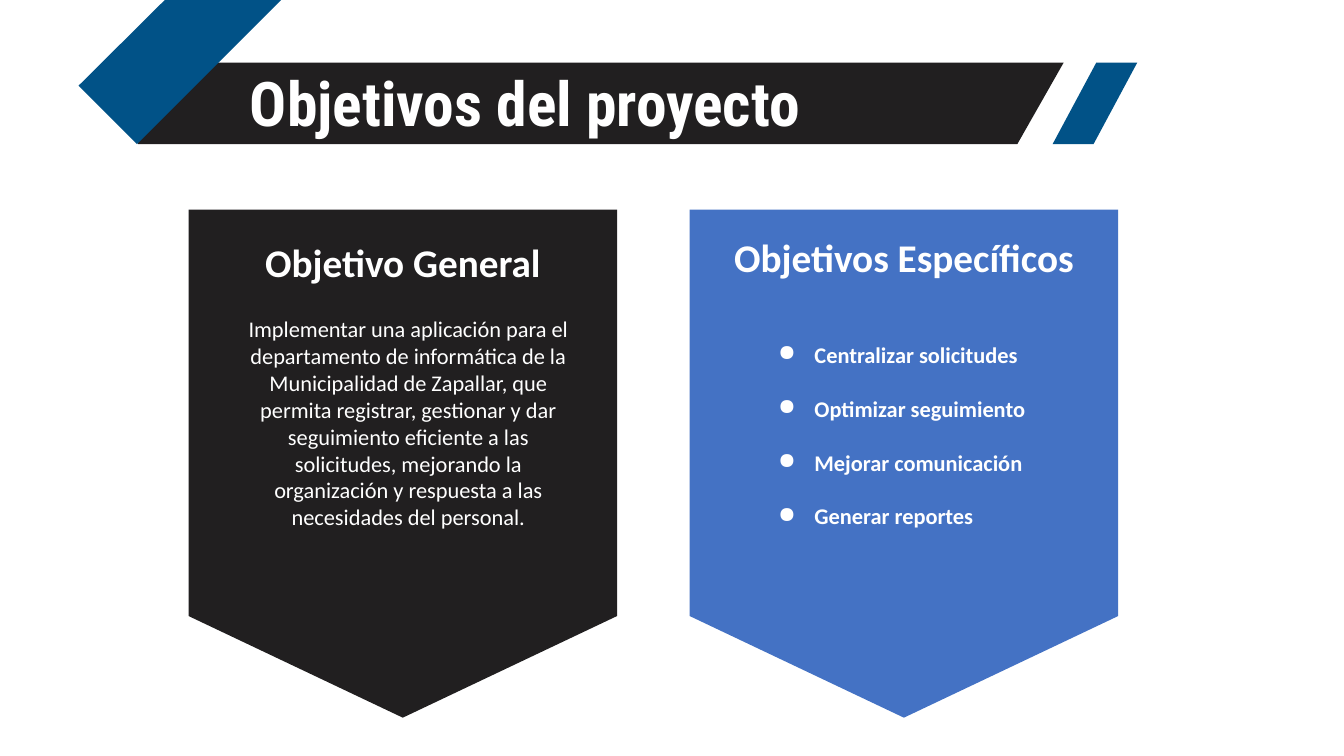
from dataclasses import dataclass

from lxml.etree import SubElement
from pptx import Presentation
from pptx.dml.color import RGBColor
from pptx.enum.shapes import MSO_SHAPE as Preset
from pptx.enum.text import MSO_AUTO_SIZE as AutoSize, PP_ALIGN as Align
from pptx.oxml.ns import qn
from pptx.shapes.autoshape import Shape
from pptx.slide import Slide
from pptx.util import Inches, Pt


@dataclass(frozen=True)
class Theme:
    dark: str = "211F20"
    navy: str = "015287"
    blue: str = "4472C4"
    white: str = "FFFFFF"
    title_font: str = "Roboto Condensed"
    body_font: str = "Calibri"
    title_size: int = 44
    heading_size: int = 28
    body_size: int = 16


@dataclass(frozen=True)
class Box:
    left: float
    top: float
    width: float
    height: float

    def lengths(self) -> list[Inches]:
        return [Inches(v) for v in (self.left, self.top, self.width, self.height)]


@dataclass(frozen=True)
class Panel:
    left: float
    fill: str
    heading: str
    heading_box: Box
    lines: tuple[str, ...]
    body_box: Box
    bulleted: bool = False


THEME = Theme()
PANEL_TOP, PANEL_WIDTH, PANEL_HEIGHT = 2.08, 4.25, 5.04
PANELS = (
    Panel(
        1.87, THEME.dark, "Objetivo General", Box(2.4, 2.32, 3.19, 0.57),
        ("Implementar una aplicación para el departamento de informática de la "
         "Municipalidad de Zapallar, que permita registrar, gestionar y dar "
         "seguimiento eficiente a las solicitudes, mejorando la organización y "
         "respuesta a las necesidades del personal.",),
        Box(2.26, 3.08, 3.58, 2.26),
    ),
    Panel(
        6.84, THEME.blue, "Objetivos Específicos", Box(7.12, 2.27, 3.69, 0.57),
        ("Centralizar solicitudes", "Optimizar seguimiento",
         "Mejorar comunicación", "Generar reportes"),
        Box(7.48, 3.07, 2.97, 1.99), bulleted=True,
    ),
)
TITLE_BAR = ((1.37, 0.62), (10.55, 0.62), (10.09, 1.43), (1.37, 1.43))
CORNER_BAND = ((0.78, 0.85), (2.49, -0.85), (2.98, -0.19), (1.36, 1.43))


def paint(shape: Shape, color: str) -> None:
    shape.shadow.inherit = False
    shape.fill.solid()
    shape.fill.fore_color.rgb = RGBColor.from_string(color)
    shape.line.fill.background()


def add_preset(slide: Slide, preset: Preset, box: Box, color: str) -> Shape:
    shape = slide.shapes.add_shape(preset, *box.lengths())
    paint(shape, color)
    return shape


def add_outline(slide: Slide, points: tuple[tuple[float, float], ...], color: str) -> None:
    start, *rest = [(Inches(x), Inches(y)) for x, y in points]
    builder = slide.shapes.build_freeform(*start)
    builder.add_line_segments(rest, close=True)
    paint(builder.convert_to_shape(), color)


def add_bullet(paragraph) -> None:
    paragraph.line_spacing = 2.0
    properties = paragraph._p.get_or_add_pPr()
    properties.set("marL", str(Inches(0.5)))
    properties.set("indent", str(Inches(-0.36)))
    bullet_color = SubElement(properties, qn("a:buClr"))
    SubElement(bullet_color, qn("a:srgbClr"), val=THEME.white)
    SubElement(properties, qn("a:buChar"), char="●")


def add_text(slide: Slide, box: Box, *lines: str, size: int,
             font: str = THEME.body_font, bold: bool = False,
             align: Align = Align.LEFT, bulleted: bool = False) -> None:
    frame = slide.shapes.add_textbox(*box.lengths()).text_frame
    frame.word_wrap = True
    frame.auto_size = AutoSize.SHAPE_TO_FIT_TEXT
    frame.text = "\n".join(lines)
    for paragraph in frame.paragraphs:
        paragraph.alignment = align
        if bulleted:
            add_bullet(paragraph)
        for run in paragraph.runs:
            run.font.name = font
            run.font.size = Pt(size)
            run.font.bold = bold
            run.font.color.rgb = RGBColor.from_string(THEME.white)


def add_header(slide: Slide) -> None:
    add_outline(slide, TITLE_BAR, THEME.dark)
    accent = add_preset(slide, Preset.PARALLELOGRAM, Box(10.44, 0.62, 0.84, 0.81), THEME.navy)
    accent.adjustments[0] = 0.536
    add_text(slide, Box(2.38, 0.59, 7.38, 0.84), "Objetivos del proyecto",
             size=THEME.title_size, font=THEME.title_font, bold=True)
    add_outline(slide, CORNER_BAND, THEME.navy)


def add_panel(slide: Slide, panel: Panel) -> None:
    add_preset(slide, Preset.FLOWCHART_OFFPAGE_CONNECTOR,
               Box(panel.left, PANEL_TOP, PANEL_WIDTH, PANEL_HEIGHT), panel.fill)
    add_text(slide, panel.body_box, *panel.lines, size=THEME.body_size,
             bold=panel.bulleted, bulleted=panel.bulleted,
             align=Align.LEFT if panel.bulleted else Align.CENTER)
    add_text(slide, panel.heading_box, panel.heading, size=THEME.heading_size,
             bold=True, align=Align.CENTER)


def main() -> None:
    presentation = Presentation()
    presentation.slide_width = Inches(13.33)
    presentation.slide_height = Inches(7.5)
    slide = presentation.slides.add_slide(presentation.slide_layouts[6])
    add_header(slide)
    for panel in PANELS:
        add_panel(slide, panel)
    presentation.save("out.pptx")


if __name__ == "__main__":
    main()
